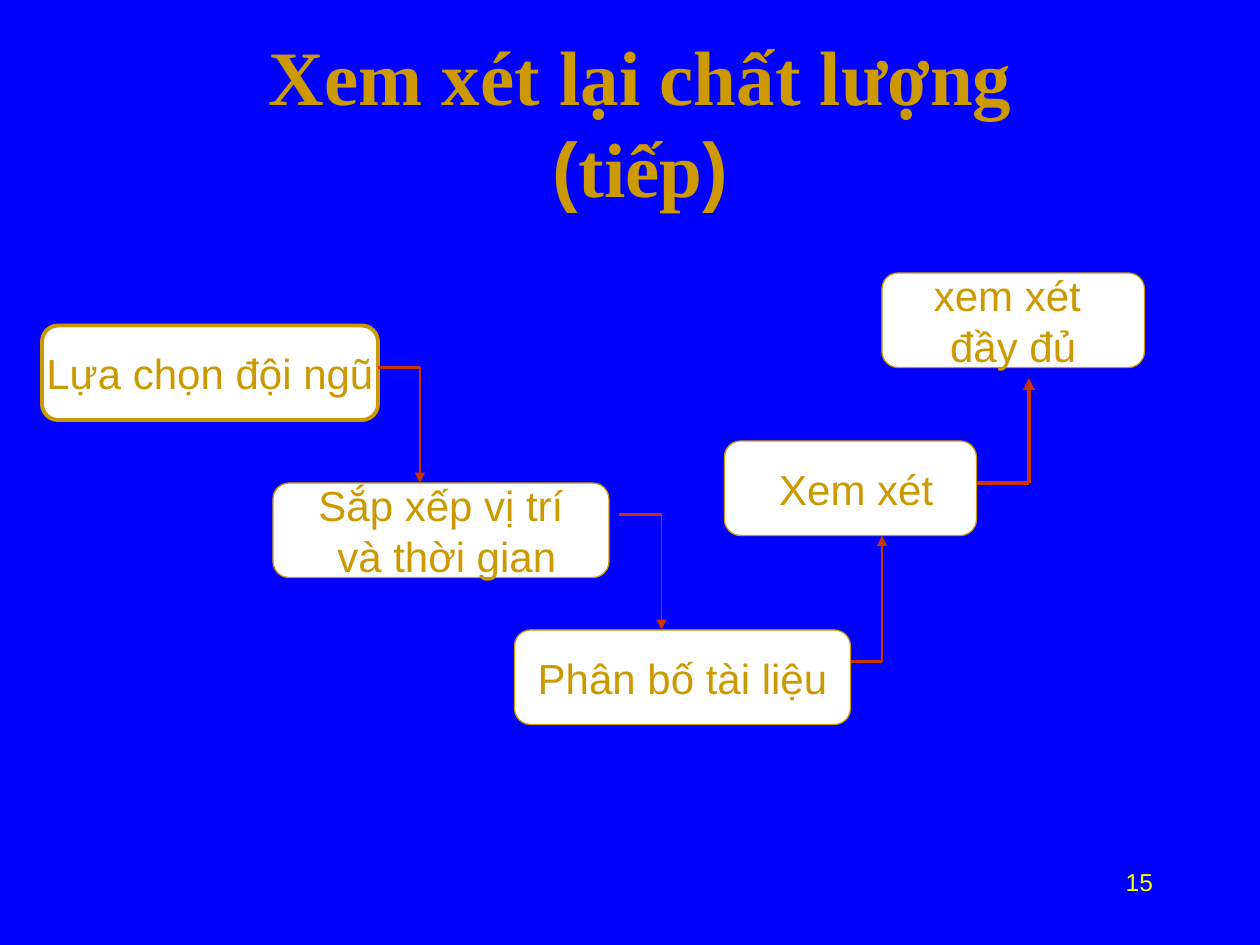
from pptx import Presentation
from pptx.dml.color import RGBColor
from pptx.enum.shapes import MSO_CONNECTOR as Connector, MSO_SHAPE as Shape
from pptx.enum.text import MSO_ANCHOR as Anchor, MSO_AUTO_SIZE as AutoSize, PP_ALIGN as Align
from pptx.oxml.ns import qn
from pptx.util import Inches, Pt
from lxml.etree import SubElement

COLORS = {"background": "0000FF", "gold": "CC9900", "box": "FFFFFF",
          "arrow": "CC3300", "number": "FFFF00"}
SANS, SERIF = "Arial", "Times New Roman"
COLUMNS, ROWS = 120, 90  # grid over the whole slide
BOX_HEIGHT = 9
THIN, THICK = 0.75, 2.25

# Runs of the title: text, font
TITLE = [("Xem xét lại chất lượng", SERIF), (" (", SANS), ("tiếp", SERIF), (")", SANS)]
TITLE_AREA = (15, 4, 92, 15)
NUMBER, NUMBER_AREA = "15", (86, 82, 25, 6)

# Steps: lines of text, column, row, width, outline
STEPS = [
    (["Lựa chọn đội ngũ"], 4, 31, 32, THICK),
    (["Sắp xếp vị trí", " và thời gian"], 26, 46, 32, THIN),
    (["Phân bố tài liệu"], 49, 60, 32, THIN),
    ([" Xem xét"], 69, 42, 24, THIN),
    (["xem xét ", "đầy đủ"], 84, 26, 25, THIN),
]
# Elbows: start column, start row, corner column, end row, arrow width
ELBOWS = [
    (36, 35, 40, 46, THIN),
    (59, 49, 63, 60, THIN),
    (81, 63, 84, 51, THIN),
    (93, 46, 98, 36, THICK),
]

presentation = Presentation()
presentation.slide_width, presentation.slide_height = Inches(10), Inches(7.5)
slide = presentation.slides.add_slide(presentation.slide_layouts[5])


def color(name):
    return RGBColor.from_string(COLORS[name])


def place(column, row, width, height):
    """Turn grid units into slide lengths."""
    cell_width = presentation.slide_width / COLUMNS
    cell_height = presentation.slide_height / ROWS
    return (int(column * cell_width), int(row * cell_height),
            int(width * cell_width), int(height * cell_height))


def write(shape, paragraphs, size, fill="gold", bold=False, align=Align.CENTER,
          anchor=Anchor.MIDDLE, wrap=True):
    """Fill a shape with paragraphs, each a list of (text, font) runs."""
    frame = shape.text_frame
    frame.auto_size, frame.word_wrap = AutoSize.NONE, wrap
    frame.vertical_anchor = anchor
    for index, runs in enumerate(paragraphs):
        paragraph = frame.add_paragraph() if index else frame.paragraphs[0]
        paragraph.alignment = align
        for text, font_name in runs:
            run = paragraph.add_run()
            run.text = text
            run.font.name, run.font.size, run.font.bold = font_name, Pt(size), bold
            run.font.color.rgb = color(fill)


def add_step(lines, column, row, width, outline):
    box = slide.shapes.add_shape(Shape.ROUNDED_RECTANGLE,
                                 *place(column, row, width, BOX_HEIGHT))
    box.shadow.inherit = False
    box.adjustments[0] = 0.17
    box.fill.solid()
    box.fill.fore_color.rgb = color("box")
    box.line.color.rgb, box.line.width = color("gold"), Pt(outline)
    write(box, [[(line, SANS)] for line in lines], 24, wrap=False)


def add_line(start, end, width, arrow=False):
    connector = slide.shapes.add_connector(Connector.STRAIGHT, *place(*start, *end))
    connector.line.color.rgb, connector.line.width = color("arrow"), Pt(width)
    properties = connector._element.spPr
    if arrow:
        SubElement(properties.find(qn("a:ln")), qn("a:tailEnd"), type="triangle")
    SubElement(properties, qn("a:effectLst"))


slide.background.fill.solid()
slide.background.fill.fore_color.rgb = color("background")

title = slide.shapes.title
title.left, title.top, title.width, title.height = place(*TITLE_AREA)
write(title, [TITLE], 44, bold=True)

for step in STEPS:
    add_step(*step)

for start_column, start_row, corner_column, end_row, arrow_width in ELBOWS:
    corner = (corner_column, start_row)
    add_line((start_column, start_row), corner, THICK)
    add_line(corner, (corner_column, end_row), arrow_width, arrow=True)

number = slide.shapes.add_textbox(*place(*NUMBER_AREA))
write(number, [[(NUMBER, SANS)]], 14, fill="number", align=Align.RIGHT, anchor=Anchor.TOP)

presentation.save("out.pptx")
